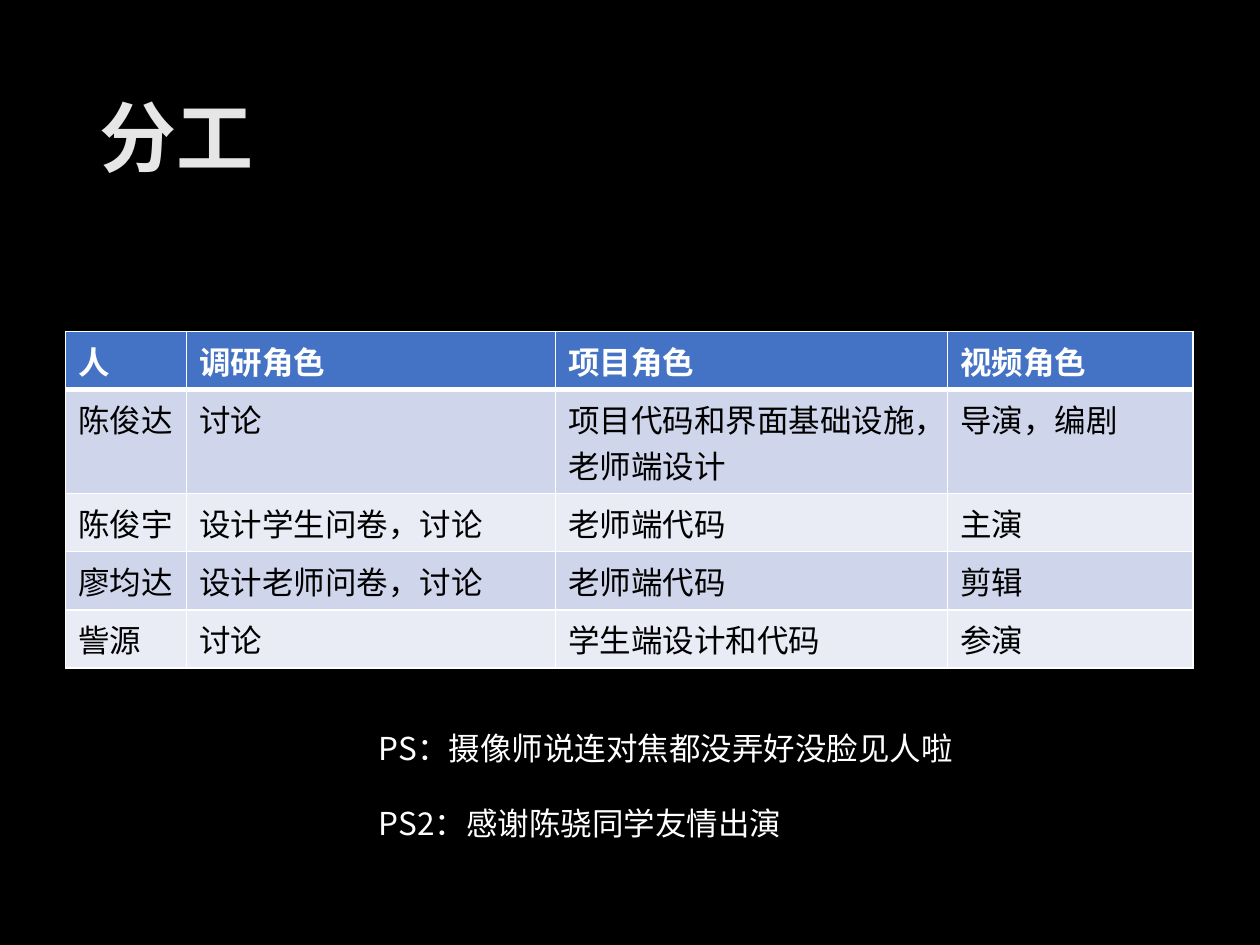
from dataclasses import dataclass

from lxml.etree import SubElement
from pptx import Presentation
from pptx.dml.color import RGBColor
from pptx.enum.text import MSO_ANCHOR as Anchor, PP_ALIGN as Align
from pptx.oxml.ns import qn
from pptx.util import Inches, Pt


@dataclass(frozen=True)
class Theme:
    font: str = "Noto Sans CJK SC"
    background: str = "000000"
    title: str = "E7E6E6"
    light: str = "FFFFFF"
    dark: str = "000000"
    header: str = "4472C4"
    bands: tuple[str, str] = ("CFD5EA", "E9EBF5")
    title_size: float = 44
    body_size: float = 18
    note_leading: float = 21.5


@dataclass(frozen=True)
class Box:
    left: float
    top: float
    width: float
    height: float

    def emu(self) -> tuple[int, ...]:
        return tuple(Inches(n) for n in (self.left, self.top, self.width, self.height))


@dataclass(frozen=True)
class Member:
    name: str
    research: str
    project: str
    video: str

    def cells(self) -> tuple[str, ...]:
        return self.name, self.research, self.project, self.video


THEME = Theme()
TITLE_BOX = Box(0.69, 0.4, 8.62, 1.45)
NOTES_BOX = Box(2.91, 5.74, 4.76, 1.01)
COLUMNS = (0.96, 2.93, 3.11, 1.95)
ROW_HEIGHT = 0.41
HEADER = Member("人", "调研角色", "项目角色", "视频角色")
MEMBERS = (
    Member("陈俊达", "讨论", "项目代码和界面基础设施，老师端设计", "导演，编剧"),
    Member("陈俊宇", "设计学生问卷，讨论", "老师端代码", "主演"),
    Member("廖均达", "设计老师问卷，讨论", "老师端代码", "剪辑"),
    Member("訾源", "讨论", "学生端设计和代码", "参演"),
)
NOTES = ("PS：摄像师说连对焦都没弄好没脸见人啦", "PS2：感谢陈骁同学友情出演")


def write(paragraph, text: str, *, color: str, size: float = THEME.body_size,
          bold: bool = False, leading=None, before: float = 0) -> None:
    paragraph.alignment = Align.LEFT
    paragraph.space_before = Pt(before)
    if leading is not None:
        paragraph.line_spacing = leading
    run = paragraph.add_run()
    run.text = text
    run.font.size, run.font.bold, run.font.name = Pt(size), bold, THEME.font
    run.font.color.rgb = RGBColor.from_string(color)
    SubElement(run.font._element, qn("a:ea"), typeface=THEME.font)


def paint(fill, color: str) -> None:
    fill.solid()
    fill.fore_color.rgb = RGBColor.from_string(color)


def add_borders(cell, bottom: float) -> None:
    properties = cell._tc.get_or_add_tcPr()
    for side, width in (("L", 1), ("R", 1), ("T", 1), ("B", bottom)):
        line = SubElement(properties, qn(f"a:ln{side}"), w=str(Pt(width)))
        fill = SubElement(line, qn("a:solidFill"))
        SubElement(fill, qn("a:srgbClr"), val=THEME.light)


def add_title(slide, text: str) -> None:
    title = slide.shapes.title
    title.left, title.top, title.width, title.height = TITLE_BOX.emu()
    paint(title.fill, THEME.background)
    title.text_frame.vertical_anchor = Anchor.MIDDLE
    write(title.text_frame.paragraphs[0], text, color=THEME.title,
          size=THEME.title_size, bold=True, leading=0.9)


def add_roles_table(slide) -> None:
    rows = (HEADER, *MEMBERS)
    box = Box(0.52, 2.63, sum(COLUMNS), ROW_HEIGHT * len(rows))
    table = slide.shapes.add_table(len(rows), len(COLUMNS), *box.emu()).table
    for column, width in zip(table.columns, COLUMNS):
        column.width = Inches(width)
    for index, member in enumerate(rows):
        is_header = index == 0
        color = THEME.header if is_header else THEME.bands[(index - 1) % 2]
        for cell, text in zip(table.rows[index].cells, member.cells()):
            add_borders(cell, bottom=3 if is_header else 1)
            paint(cell.fill, color)
            write(cell.text_frame.paragraphs[0], text, bold=is_header,
                  color=THEME.light if is_header else THEME.dark)


def add_notes_box(slide) -> None:
    frame = slide.shapes.add_textbox(*NOTES_BOX.emu()).text_frame
    frame.word_wrap = True
    for index, note in enumerate(NOTES):
        paragraph = frame.add_paragraph() if index else frame.paragraphs[0]
        write(paragraph, note, color=THEME.light, leading=Pt(THEME.note_leading),
              before=THEME.note_leading if index else 0)


def main() -> None:
    presentation = Presentation()
    presentation.slide_width, presentation.slide_height = Inches(10), Inches(7.5)
    slide = presentation.slides.add_slide(presentation.slide_layouts.get_by_name("Title Only"))
    paint(slide.background.fill, THEME.background)
    add_title(slide, "分工")
    add_roles_table(slide)
    add_notes_box(slide)
    presentation.save("out.pptx")


if __name__ == "__main__":
    main()
